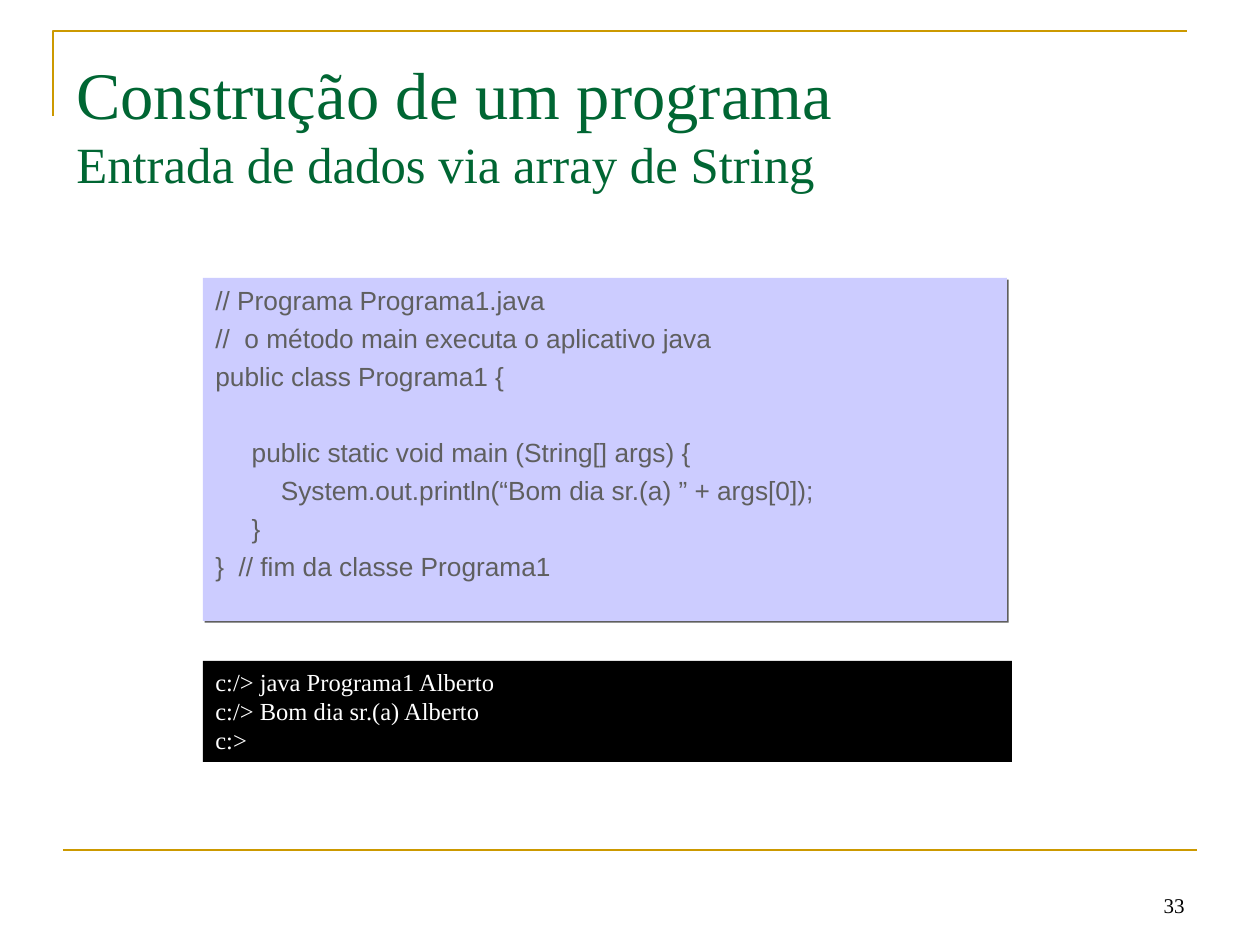
import pptx
import pptx.util
import pptx.dml.color
import pptx.enum.shapes
import pptx.enum.text
import pptx.oxml.ns
from lxml import etree

PX = 914400 // 126
ANCHOR = pptx.enum.text.MSO_ANCHOR
ALIGN = pptx.enum.text.PP_ALIGN
THEME = {
    "gold": "CC9900", "green": "006633", "lilac": "CCCCFF", "gray": "5F5F5F",
    "black": "000000", "white": "FFFFFF", "serif": "Times New Roman", "sans": "Arial",
    "title": 38, "subtitle": 29, "code": 15, "console": 14, "number": 12, "rule": 1.5,
}

# Content
TITLE = "Construção de um programa"
SUBTITLE = "Entrada de dados via array de String"
CODE = [
    "// Programa Programa1.java",
    "//  o método main executa o aplicativo java",
    "public class Programa1 {",
    "",
    "     public static void main (String[] args) {",
    "         System.out.println(“Bom dia sr.(a) ” + args[0]);",
    "     }",
    "}  // fim da classe Programa1",
]
CONSOLE = ["c:/> java Programa1 Alberto", "c:/> Bom dia sr.(a) Alberto", "c:>"]
NUMBER = "33"

# Places in px: left, top, width, height
BOX = {
    "title": (64, 65, 1134, 116),
    "code": (203, 278, 804, 343),
    "console": (203, 661, 809, 101),
    "number": (903, 861, 294, 63),
}
BRACKET = [(53, 116), (53, 31), (1187, 31)]
FOOT_RULE = (63, 850, 1197, 850)


def rgb(name):
    return pptx.dml.color.RGBColor.from_string(THEME[name])


def px(values):
    return [v * PX for v in values]


def style_line(sp):
    sp.line.color.rgb = rgb("gold")
    sp.line.width = pptx.util.Pt(THEME["rule"])


def set_frame(sp, anchor):
    tf = sp.text_frame
    for name, value in {"word_wrap": True, "vertical_anchor": anchor}.items():
        setattr(tf, name, value)
    return tf


def add_run(p, text, size, font, color):
    r = p.add_run()
    r.text = text
    fmt = {"size": pptx.util.Pt(THEME[size]), "name": THEME[font]}
    for name, value in fmt.items():
        setattr(r.font, name, value)
    r.font.color.rgb = rgb(color)


def add_panel(s, box, fill):
    sp = s.shapes.add_shape(pptx.enum.shapes.MSO_SHAPE.RECTANGLE, *px(box))
    sp.shadow.inherit = False
    sp.fill.solid()
    sp.fill.fore_color.rgb = rgb(fill)
    sp.line.fill.background()
    return sp


def fill_lines(sp, lines, size, font, color, pitch, before=0):
    """One paragraph a line; an empty line becomes space before the next one."""
    tf = set_frame(sp, ANCHOR.TOP)
    p, gap = tf.paragraphs[0], 0
    for i, text in enumerate(lines):
        if not text:
            gap += pitch + before
            continue
        if i:
            p = tf.add_paragraph()
        fmt = {
            "alignment": ALIGN.LEFT,
            "line_spacing": pptx.util.Pt(pitch),
            "space_before": pptx.util.Pt(before + gap if i else 0),
        }
        for name, value in fmt.items():
            setattr(p, name, value)
        add_run(p, text, size, font, color)
        gap = 0


def add_shadow(sp, color, distance):
    qn = pptx.oxml.ns.qn
    effects = sp._element.spPr.find(qn("a:effectLst"))
    shadow = etree.SubElement(effects, qn("a:outerShdw"), blurRad="0",
                              dist=str(pptx.util.Pt(distance)), dir="2700000",
                              algn="ctr", rotWithShape="0")
    etree.SubElement(shadow, qn("a:srgbClr"), val=THEME[color])


def main():
    prs = pptx.Presentation()
    prs.slide_width, prs.slide_height = px((1260, 945))
    s = prs.slides.add_slide(prs.slide_layouts[6])

    # Frame: corner bracket and foot rule
    builder = s.shapes.build_freeform(*BRACKET[0], scale=PX)
    builder.add_line_segments(BRACKET[1:], close=False)
    sp = builder.convert_to_shape()
    sp.shadow.inherit = False
    sp.fill.background()
    style_line(sp)
    rule = s.shapes.add_connector(pptx.enum.shapes.MSO_CONNECTOR.STRAIGHT, *px(FOOT_RULE))
    etree.SubElement(rule._element.spPr, pptx.oxml.ns.qn("a:effectLst"))
    style_line(rule)

    # Slide number
    tf = set_frame(s.shapes.add_textbox(*px(BOX["number"])), ANCHOR.BOTTOM)
    p = tf.paragraphs[0]
    p.alignment = ALIGN.RIGHT
    add_run(p, NUMBER, "number", "serif", "black")

    # Code panel
    sp = add_panel(s, BOX["code"], "lilac")
    add_shadow(sp, "gray", 1.4)
    fill_lines(sp, CODE, "code", "sans", "gray", pitch=18, before=3.7)

    # Title and subtitle
    tf = set_frame(s.shapes.add_textbox(*px(BOX["title"])), ANCHOR.MIDDLE)
    p = tf.paragraphs[0]
    add_run(p, TITLE, "title", "serif", "green")
    p.add_line_break()
    add_run(p, SUBTITLE, "subtitle", "serif", "green")

    # Console panel
    sp = add_panel(s, BOX["console"], "black")
    fill_lines(sp, CONSOLE, "console", "serif", "white", pitch=16.6)

    prs.save("out.pptx")


if __name__ == "__main__":
    main()
